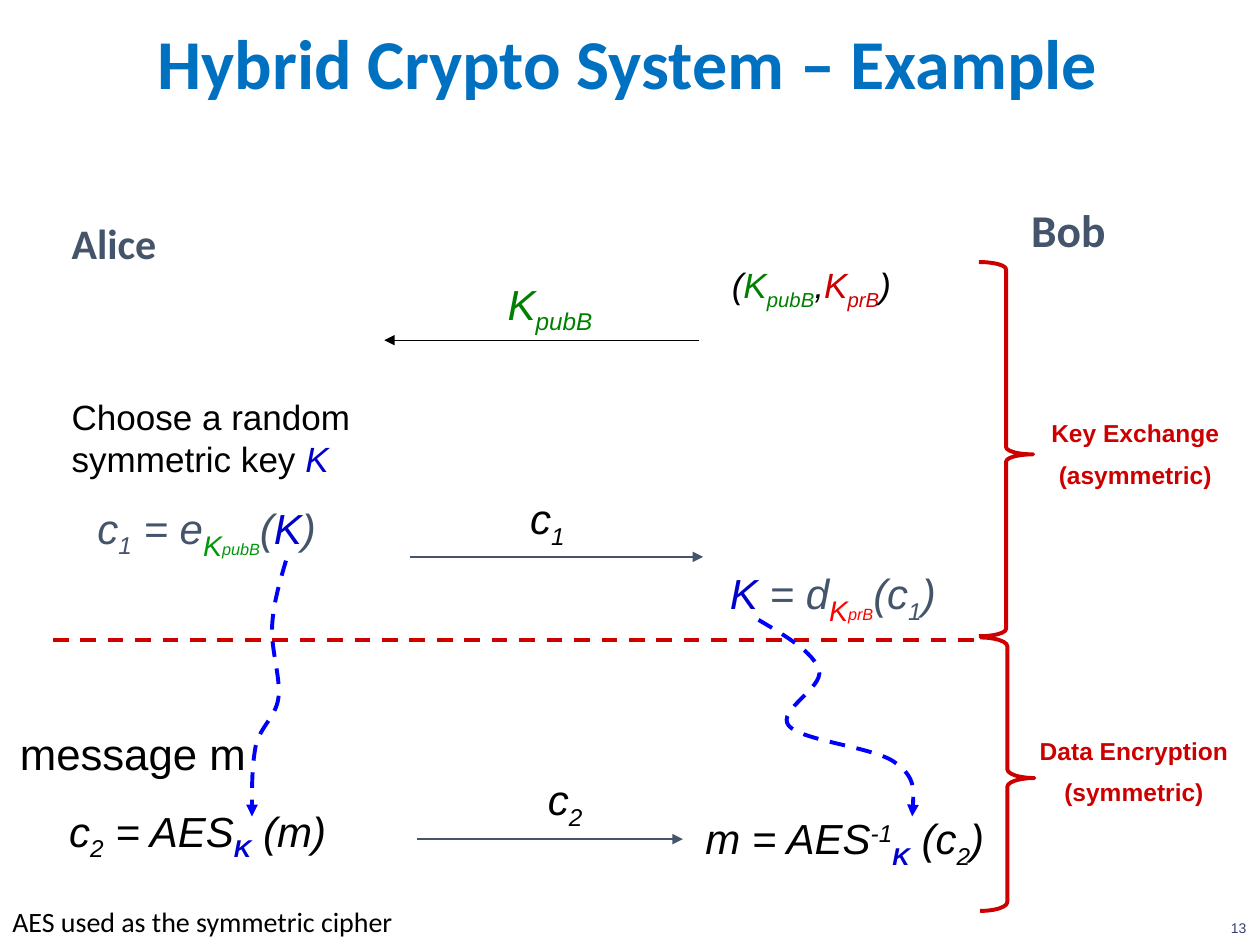
from dataclasses import dataclass
from typing import NamedTuple

from lxml import etree
from pptx import Presentation
from pptx.dml.color import RGBColor
from pptx.enum.dml import MSO_LINE
from pptx.enum.shapes import MSO_CONNECTOR, MSO_SHAPE
from pptx.enum.text import MSO_ANCHOR, PP_ALIGN
from pptx.oxml.ns import qn
from pptx.util import Inches, Pt

STRAIGHT = MSO_CONNECTOR.STRAIGHT
RIGHT_BRACE = MSO_SHAPE.RIGHT_BRACE
DASH = MSO_LINE.DASH
LEFT, CENTER = PP_ALIGN.LEFT, PP_ALIGN.CENTER
TOP, MIDDLE = MSO_ANCHOR.TOP, MSO_ANCHOR.MIDDLE

COLORS = {
    "title": "0070C0", "slate": "44546A", "black": "000000", "number": "394073",
    "red": "CC0000", "private": "FF0000", "public": "008000", "sub_public": "00980B",
    "key": "0000CC", "path": "0000FF",
}
HEADING = {"name": "Calibri", "bold": True}
PLAIN = {"name": "Arial"}
MATH = {"name": "Arial", "italic": True}
PHASE = {"name": "Arial", "bold": True}
SUB, DEEP, SUPER = -25, -40, 30


class Run(NamedTuple):
    text: str
    color: str = "black"
    base: int = 0
    size: float = 0
    style: dict = {}


@dataclass
class Label:
    box: tuple
    size: float
    style: dict
    paragraphs: list
    align: PP_ALIGN = LEFT
    anchor: MSO_ANCHOR = TOP
    wrap: bool = True
    spacing: float = 1.0


@dataclass
class Line:
    start: tuple
    end: tuple
    color: str
    width: float = 0.75
    dashed: bool = False


@dataclass
class Brace:
    box: tuple
    curl: float


LABELS = [
    Label((0.19, 0.12, 9.58, 0.73), 40, HEADING,
          [[Run("Hybrid Crypto System – Example", "title")]], CENTER, MIDDLE),
    Label((9.67, 7.25, 0.33, 0.25), 8, PLAIN, [[Run("13", "number")]]),
    Label((6.98, 1.6, 3, 0.39), 26, HEADING, [[Run("Bob", "slate")]], CENTER, spacing=0.9),
    Label((0.47, 1.72, 0.91, 0.46), 24, HEADING, [[Run("Alice", "slate")]],
          wrap=False, spacing=0.9),
    Label((0.62, 3.94, 2.04, 0.51), 24, MATH, [[
        Run("c", "slate"), Run("1", "slate", SUB), Run(" = e", "slate"),
        Run("K", "sub_public", SUB, 28), Run("pubB", "sub_public", DEEP, 16),
        Run("(", "slate"), Run("K", "key"), Run(")", "slate")]], CENTER, MIDDLE, False),
    Label((4.11, 3.86, 0.9, 0.51), 24, MATH, [[Run("c"), Run("1", base=SUB)]]),
    Label((5.65, 4.46, 1.92, 0.51), 24, MATH, [[
        Run("K", "key"), Run(" = d", "slate"), Run("K", "private", SUB, 28),
        Run("prB", "private", DEEP, 16), Run("(c", "slate"), Run("1", "slate", SUB),
        Run(")", "slate")]], CENTER, MIDDLE, False),
    Label((8.12, 3.27, 1.78, 0.69), 14, PHASE,
          [[Run("Key Exchange", "red")], [Run("(asymmetric)", "red")]], CENTER),
    Label((8.03, 5.79, 1.94, 0.69), 14, PHASE,
          [[Run("Data Encryption", "red")], [Run("(symmetric)", "red")]], CENTER),
    Label((0.45, 6.34, 2.35, 0.51), 24, MATH, [[
        Run("c"), Run("2", base=SUB), Run(" = AES"),
        Run("K", "key", SUB, style={"bold": True}), Run(" (m)")]]),
    Label((5.5, 6.4, 3, 0.51), 24, MATH, [[
        Run("m = AES"), Run("-1", base=SUPER), Run("K", "key", SUB, style={"bold": True}),
        Run(" (c"), Run("2", base=SUB), Run(")")]]),
    Label((4.25, 6.09, 1.11, 0.51), 24, MATH, [[Run("c"), Run("2", base=SUB)]]),
    Label((5.71, 2.04, 2.42, 0.43), 20, MATH, [[
        Run("("), Run("K", "public"), Run("pubB", "public", SUB), Run(","),
        Run("K", "red"), Run("prB", "red", SUB), Run(")")]]),
    Label((3.93, 2.16, 1, 0.5), 24, MATH, [[Run("K", "public"), Run("pubB", "public", SUB)]]),
    Label((0.47, 3.09, 2.41, 0.77), 20, PLAIN, [[
        Run("Choose a random symmetric key "), Run("K", "key", style={"italic": True})]]),
    Label((0.06, 5.72, 2.2, 0.52), 25, PLAIN, [[Run("message m")]]),
    Label((0, 7.13, 3.26, 0.37), 16, {"name": "Calibri"},
          [[Run("AES used as the symmetric cipher")]], wrap=False),
]
DIVIDER = Line((0.42, 5.08), (7.76, 5.08), "red", 2.25, True)
MESSAGES = [
    Line((5.55, 2.7), (3.05, 2.7), "black"),
    Line((3.25, 4.42), (5.58, 4.42), "slate"),
    Line((3.31, 6.66), (5.42, 6.66), "slate"),
]
BRACES = [Brace((7.77, 2.08, 0.43, 2.97), 0.134), Brace((7.78, 5.06, 0.43, 2.17), 0.162)]
KEY_PATHS = [
    [(2.27, 4.45), (2.22, 4.62), (2.17, 4.79), (2.16, 4.97), (2.15, 5.16), (2.23, 5.38),
     (2.21, 5.54), (2.19, 5.69), (2.07, 5.76), (2.03, 5.92), (2, 6.08), (2, 6.28), (2, 6.48)],
    [(6.02, 4.92), (6.24, 5.05), (6.46, 5.18), (6.5, 5.32), (6.54, 5.46), (6.16, 5.64),
     (6.26, 5.76), (6.36, 5.88), (6.94, 5.93), (7.1, 6.05), (7.27, 6.17), (7.25, 6.33),
     (7.24, 6.48)],
]


def rgb(name: str) -> RGBColor:
    return RGBColor.from_string(COLORS[name])


def style_line(sp, color: str, width: float, dashed: bool = False, arrow: bool = False) -> None:
    sp.line.color.rgb = rgb(color)
    sp.line.width = Pt(width)
    if dashed:
        sp.line.dash_style = DASH
    if arrow:
        etree.SubElement(sp.line._get_or_add_ln(), qn("a:tailEnd"), type="triangle")


def add_label(s, label: Label) -> None:
    tf = s.shapes.add_textbox(*map(Inches, label.box)).text_frame
    for key, value in {"word_wrap": label.wrap, "vertical_anchor": label.anchor}.items():
        setattr(tf, key, value)
    for i, runs in enumerate(label.paragraphs):
        p = tf.add_paragraph() if i else tf.paragraphs[0]
        p.alignment = label.align
        p.line_spacing = label.spacing
        if i:
            p.space_before = Pt(label.size / 2)
        for run in runs:
            r = p.add_run()
            r.text = run.text
            formats = {**label.style, "size": Pt(run.size or label.size), **run.style}
            for key, value in formats.items():
                setattr(r.font, key, value)
            r.font.color.rgb = rgb(run.color)
            if run.base:
                r.font._element.set("baseline", str(run.base * 1000))


def add_line(s, line: Line, arrow: bool) -> None:
    sp = s.shapes.add_connector(STRAIGHT, *map(Inches, line.start + line.end))
    style_line(sp, line.color, line.width, line.dashed, arrow)
    etree.SubElement(sp._element.spPr, qn("a:effectLst"))


def add_brace(s, brace: Brace) -> None:
    sp = s.shapes.add_shape(RIGHT_BRACE, *map(Inches, brace.box))
    sp.shadow.inherit = False
    sp.fill.background()
    sp.adjustments[0] = brace.curl
    sp.adjustments[1] = 0.514
    style_line(sp, "red", 2.25)


def add_key_path(s, points: list) -> None:
    start, *rest = [(Inches(x), Inches(y)) for x, y in points]
    builder = s.shapes.build_freeform(*start)
    builder.add_line_segments(rest, close=False)
    sp = builder.convert_to_shape()
    sp.shadow.inherit = False
    sp.fill.background()
    style_line(sp, "path", 2.25, True, True)
    outline = next(sp._element.iter(qn("a:path")))
    segments = outline.findall(qn("a:lnTo"))
    for i in range(0, len(segments), 3):
        curve = etree.SubElement(outline, qn("a:cubicBezTo"))
        for segment in segments[i:i + 3]:
            curve.append(segment[0])
            outline.remove(segment)


def main() -> None:
    prs = Presentation()
    prs.slide_width, prs.slide_height = Inches(10), Inches(7.5)
    s = prs.slides.add_slide(prs.slide_layouts[6])
    add_line(s, DIVIDER, arrow=False)
    for message in MESSAGES:
        add_line(s, message, arrow=True)
    for brace in BRACES:
        add_brace(s, brace)
    for points in KEY_PATHS:
        add_key_path(s, points)
    for label in LABELS:
        add_label(s, label)
    prs.save("out.pptx")


if __name__ == "__main__":
    main()
